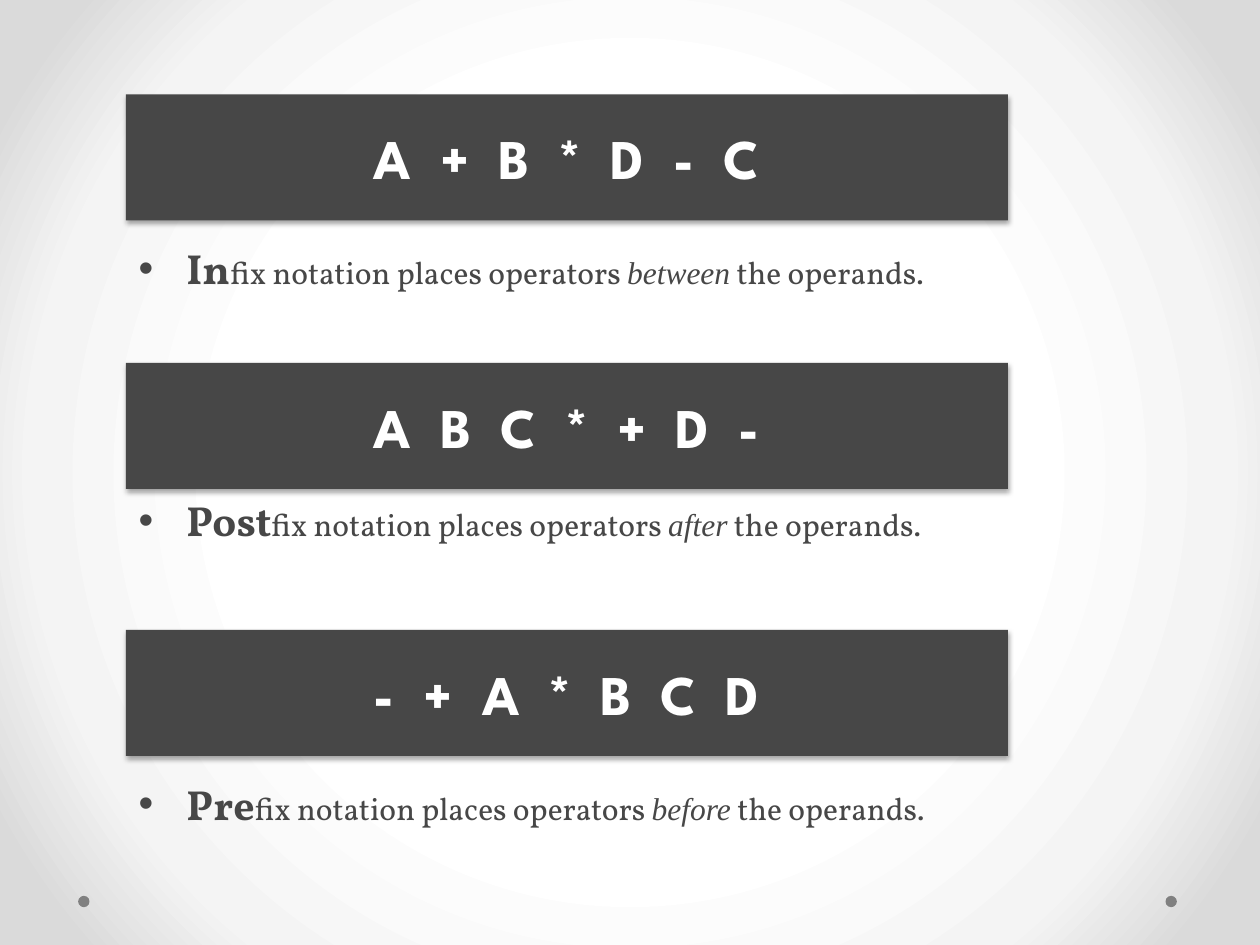
"""Build a slide that compares infix, postfix and prefix notation."""
from dataclasses import dataclass

from lxml import etree
from pptx import Presentation
from pptx import util as u
from pptx.dml.color import RGBColor
from pptx.enum import shapes, text
from pptx.oxml import ns, parse_xml


@dataclass(frozen=True)
class Theme:
    dark: str = "474747"
    light: str = "FFFFFF"
    dot: str = "808080"
    stops: tuple = ((50, "FFFFFF"), (76, "F4F4F4"), (92, "DADADA"))
    head: str = "League Spartan"
    body: str = "Vollkorn"
    slant: str = "Times New Roman"
    big: int = 32
    mid: int = 24
    small: int = 18


THEME = Theme()
LEFT, WIDTH = 1, 7
ROWS = (
    (0.75, "A + B * D - C", 1.75, "In", "between"),
    (2.88, "A B C * + D -", 3.75, "Post", "after"),
    (5, "- + A * B C D", 6, "Pre", "before"),
)


def put(item, vals):
    for name, val in vals.items():
        setattr(item, name, val)


def add_run(para, words, color, **vals):
    run = para.add_run()
    run.text = words
    put(run.font, vals)
    run.font.color.rgb = RGBColor.from_string(color)
    return run


def paint(slide):
    slide.background.fill.gradient()
    old = slide.element.find(".//" + ns.qn("a:gradFill"))
    stops = "".join(
        f'<a:gs pos="{pos * 1000}"><a:srgbClr val="{color}"/></a:gs>'
        for pos, color in THEME.stops)
    new = parse_xml(
        f'<a:gradFill {ns.nsdecls("a")} rotWithShape="1">'
        f'<a:gsLst>{stops}</a:gsLst><a:path path="circle">'
        '<a:fillToRect l="50000" t="50000" r="50000" b="50000"/>'
        '</a:path></a:gradFill>')
    old.getparent().replace(old, new)


def add_form(slide, kind, box, color):
    form = slide.shapes.add_shape(kind, *map(u.Inches, box))
    form.shadow.inherit = False
    form.fill.solid()
    form.fill.fore_color.rgb = RGBColor.from_string(color)
    form.line.fill.background()
    return form


def add_shade(form):
    effects = form.element.spPr.find(ns.qn("a:effectLst"))
    shade = etree.SubElement(
        effects, ns.qn("a:outerShdw"), blurRad=str(u.Pt(3.1)),
        dist=str(u.Pt(1.8)), dir="5400000", rotWithShape="0")
    black = etree.SubElement(shade, ns.qn("a:srgbClr"), val="000000")
    etree.SubElement(black, ns.qn("a:alpha"), val="35000")


def add_bar(slide, top, terms):
    bar = add_form(slide, shapes.MSO_SHAPE.RECTANGLE,
                   (LEFT, top, WIDTH, 1), THEME.dark)
    add_shade(bar)
    bar.text_frame.vertical_anchor = text.MSO_ANCHOR.MIDDLE
    para = bar.text_frame.paragraphs[0]
    para.alignment = text.PP_ALIGN.CENTER
    run = add_run(para, terms, THEME.light, name=THEME.head,
                  size=u.Pt(THEME.big), bold=True)
    run.font._element.set("spc", "400")


def add_bullet(para):
    props = para._p.get_or_add_pPr()
    indent = u.Inches(0.38)
    props.set("marL", str(indent))
    props.set("indent", str(-indent))
    etree.SubElement(props, ns.qn("a:buFont"), typeface="Arial")
    etree.SubElement(props, ns.qn("a:buChar"), char="•")


def fill_note(holder, top, prefix, place):
    box = dict(left=LEFT, top=top, width=WIDTH, height=0.75)
    put(holder, {name: u.Inches(val) for name, val in box.items()})
    put(holder.text_frame, dict(
        word_wrap=True, auto_size=text.MSO_AUTO_SIZE.NONE,
        vertical_anchor=text.MSO_ANCHOR.MIDDLE))
    para = holder.text_frame.paragraphs[0]
    add_bullet(para)
    put(para, dict(alignment=text.PP_ALIGN.LEFT, space_before=u.Pt(0)))
    plain = dict(name=THEME.body, size=u.Pt(THEME.small),
                 bold=False, italic=False)
    strong = plain | dict(size=u.Pt(THEME.mid), bold=True)
    slant = plain | dict(name=THEME.slant, italic=True)
    for words, vals in (
            (prefix, strong), ("fix notation places operators ", plain),
            (place, slant), (" the operands.", plain)):
        add_run(para, words, THEME.dark, **vals)


def main():
    deck = Presentation()
    put(deck, dict(slide_width=u.Inches(10), slide_height=u.Inches(7.5)))
    slide = deck.slides.add_slide(deck.slide_layouts.get_by_name("Comparison"))
    paint(slide)
    for left in (9.25, 0.62):
        add_form(slide, shapes.MSO_SHAPE.OVAL,
                 (left, 7.11, 0.09, 0.09), THEME.dot)
    title, *bodies = slide.placeholders
    *notes, spare = bodies
    for holder in (title, spare):
        holder.element.getparent().remove(holder.element)
    for holder, (top, terms, below, prefix, place) in zip(notes, ROWS):
        add_bar(slide, top, terms)
        fill_note(holder, below, prefix, place)
    deck.save("out.pptx")


if __name__ == "__main__":
    main()
